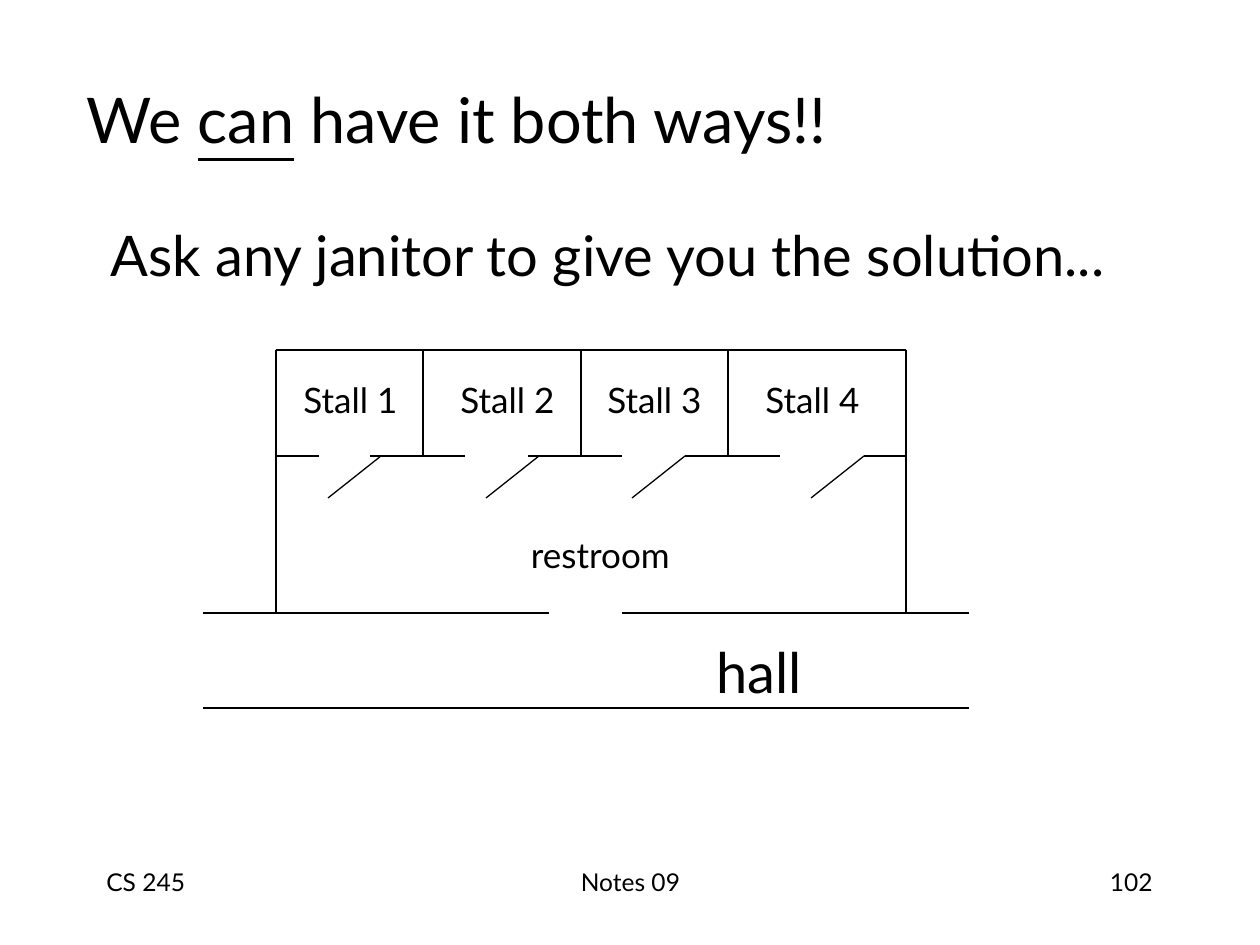
from lxml import etree
from pptx import Presentation
from pptx.dml.color import RGBColor
from pptx.enum.shapes import MSO_CONNECTOR
from pptx.enum.text import MSO_ANCHOR, PP_ALIGN
from pptx.oxml.ns import qn
from pptx.util import Emu, Pt

LEFT, CENTER, RIGHT = PP_ALIGN.LEFT, PP_ALIGN.CENTER, PP_ALIGN.RIGHT
TOP, MIDDLE = MSO_ANCHOR.TOP, MSO_ANCHOR.MIDDLE
STRAIGHT = MSO_CONNECTOR.STRAIGHT

EMU_PER_PX = 914400 / 126
FONT = "Lato"
BLACK = "000000"

# Floor plan
HALL_LEFT, HALL_RIGHT = 203, 969
ENTRY_LEFT, ENTRY_RIGHT = 549, 622
ROOM_LEFT, ROOM_RIGHT = 276, 906
STALL_TOP, STALL_FRONT, HALL_TOP, HALL_BOTTOM = 350, 456, 613, 708
PARTITIONS = [423, 581, 728]
FRONT_WALLS = [(276, 319), (370, 465), (528, 622), (685, 780), (864, 906)]
DOOR_HINGES = [381, 539, 685, 864]
DOOR_SWING = (-53, 42)
STALL_LABELS = [289, 446, 593, 751]


def px(length):
    return Emu(round(length * EMU_PER_PX))


def color(value):
    return RGBColor.from_string(value)


def format_text(shape, runs, size, align=LEFT, anchor=TOP, wrap=True):
    """Write one paragraph from (text, underlined) runs."""
    frame = shape.text_frame
    for name, value in {"word_wrap": wrap, "vertical_anchor": anchor}.items():
        setattr(frame, name, value)
    paragraph = frame.paragraphs[0]
    paragraph.alignment = align
    for text, underlined in runs:
        run = paragraph.add_run()
        run.text = text
        font_format = {"name": FONT, "size": Pt(size), "underline": underlined}
        for name, value in font_format.items():
            setattr(run.font, name, value)
        run.font.color.rgb = color(BLACK)


def add_text(slide, box, text, size, **layout):
    shape = slide.shapes.add_textbox(*map(px, box))
    format_text(shape, [(text, False)], size, **layout)


def add_label(slide, box, text, size):
    add_text(slide, box, text, size, align=CENTER, anchor=MIDDLE, wrap=False)


def add_line(slide, *points):
    line = slide.shapes.add_connector(STRAIGHT, *map(px, points))
    line.line.color.rgb = color(BLACK)
    line.line.width = Pt(0.75)
    etree.SubElement(line._element.spPr, qn("a:effectLst"))


def add_title(slide):
    title = slide.shapes.title
    position = {"left": 74, "top": 62, "width": 1071, "height": 113}
    for name, value in position.items():
        setattr(title, name, px(value))
    runs = [("We ", False), ("can", True), (" have it both ways!!", False)]
    format_text(title, runs, 36, anchor=MIDDLE)


def add_floor_plan(slide):
    # Hall and entrance
    add_line(slide, HALL_LEFT, HALL_BOTTOM, HALL_RIGHT, HALL_BOTTOM)
    add_line(slide, HALL_LEFT, HALL_TOP, ENTRY_LEFT, HALL_TOP)
    add_line(slide, ENTRY_RIGHT, HALL_TOP, HALL_RIGHT, HALL_TOP)

    # Outer walls and partitions
    for x in (ROOM_LEFT, ROOM_RIGHT):
        add_line(slide, x, HALL_TOP, x, STALL_TOP)
    add_line(slide, ROOM_LEFT, STALL_TOP, ROOM_RIGHT, STALL_TOP)
    for x in PARTITIONS:
        add_line(slide, x, STALL_TOP, x, STALL_FRONT)

    # Stall fronts and open doors
    for start, end in FRONT_WALLS:
        add_line(slide, start, STALL_FRONT, end, STALL_FRONT)
    swing_x, swing_y = DOOR_SWING
    for x in DOOR_HINGES:
        add_line(slide, x, STALL_FRONT, x + swing_x, STALL_FRONT + swing_y)

    # Room names
    for number, left in enumerate(STALL_LABELS, start=1):
        add_label(slide, (left, 372, 123, 55), f"Stall {number}", 20)
    add_label(slide, (511, 527, 179, 55), "restroom", 20)
    add_label(slide, (699, 631, 120, 81), "hall", 32)


def add_footer(slide):
    add_text(slide, (94, 861, 262, 63), "CS 245", 14)
    add_text(slide, (431, 861, 399, 63), "Notes 09", 14, align=CENTER)
    add_text(slide, (903, 861, 262, 63), "102", 14, align=RIGHT)


def main():
    presentation = Presentation()
    presentation.slide_width = px(1260)
    presentation.slide_height = px(945)
    slide = presentation.slides.add_slide(presentation.slide_layouts[5])

    add_title(slide)
    add_text(slide, (98, 214, 1071, 90),
             "Ask any janitor to give you the solution...", 32)
    add_floor_plan(slide)
    add_footer(slide)
    presentation.save("out.pptx")


if __name__ == "__main__":
    main()
